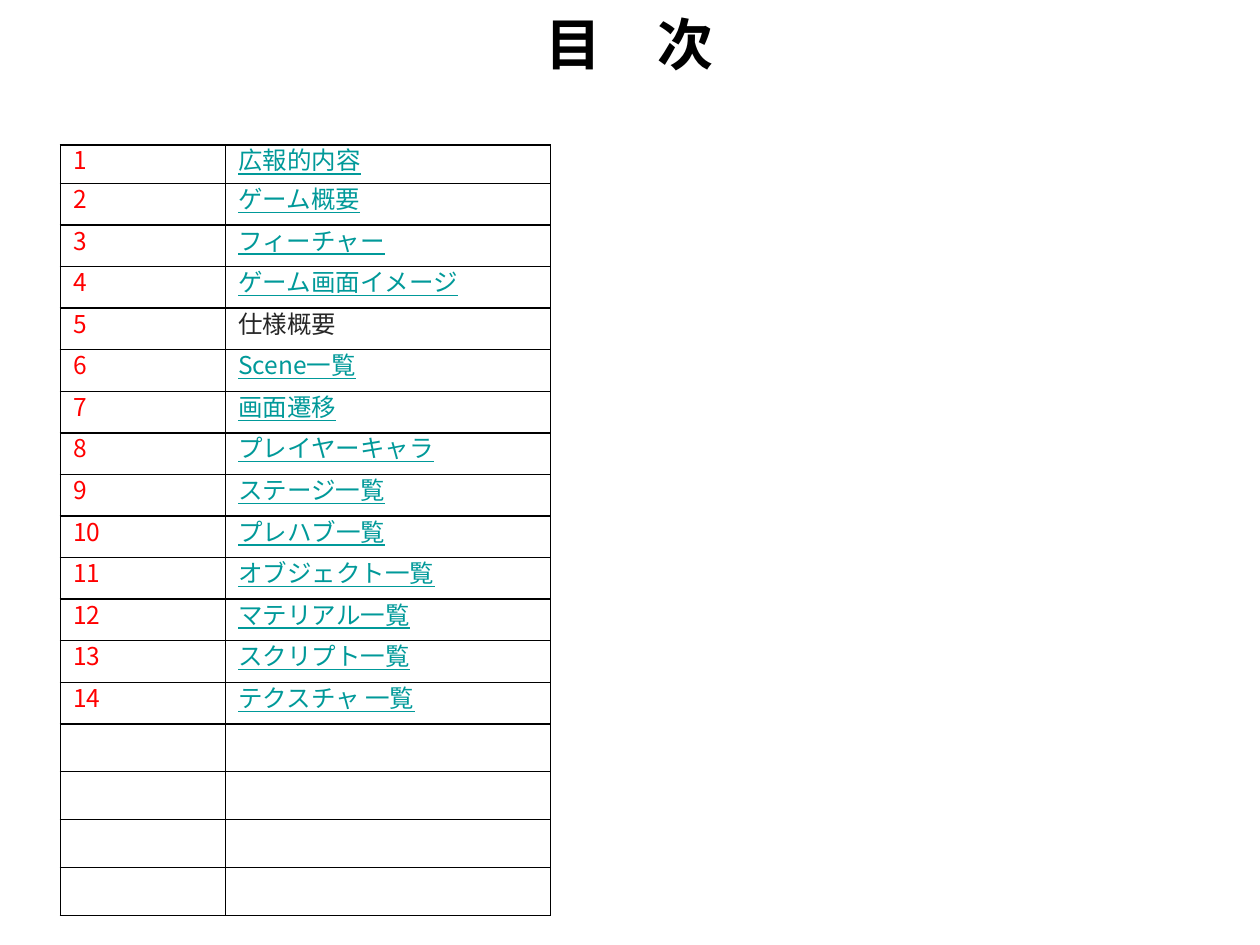
from lxml import etree
from pptx import Presentation
from pptx.dml.color import RGBColor
from pptx.enum.text import MSO_ANCHOR, PP_ALIGN
from pptx.oxml.ns import qn
from pptx.util import Inches, Pt

CENTER, LEFT = PP_ALIGN.CENTER, PP_ALIGN.LEFT
MIDDLE, TOP = MSO_ANCHOR.MIDDLE, MSO_ANCHOR.TOP
FONT = "Noto Sans CJK JP"
BLACK, WHITE, RED, TEAL, GRAY = "000000", "FFFFFF", "FF0000", "009999", "262626"
TITLE_ONLY = 5
PLAIN_ENTRY = "仕様概要"
ENTRIES = [
    "広報的内容", "ゲーム概要", "フィーチャー", "ゲーム画面イメージ", PLAIN_ENTRY,
    "Scene一覧", "画面遷移", "プレイヤーキャラ", "ステージ一覧", "プレハブ一覧",
    "オブジェクト一覧", "マテリアル一覧", "スクリプト一覧", "テクスチャ 一覧",
]
SPARE_ROWS = 4


def color(value):
    """Turn a hex string into a colour."""
    return RGBColor.from_string(value)


def write(frame, text, *, size=14, fill=BLACK, bold=False, underline=False,
          align=LEFT, spacing=None):
    """Put one formatted paragraph into a text frame."""
    paragraph = frame.paragraphs[0]
    paragraph.alignment = align
    if spacing:
        paragraph.line_spacing = Pt(spacing)
    run = paragraph.add_run()
    run.text = text
    font = run.font
    font.size, font.bold, font.underline = Pt(size), bold, underline
    font.color.rgb = color(fill)
    font.name = FONT
    etree.SubElement(font._element, qn("a:ea"), typeface=FONT)


class SlideBuilder:
    """Hold the table style and the current slide."""

    border_color = BLACK
    border_width = Pt(1)
    line_spacing = 14.8

    def __init__(self, presentation):
        """Add a title-only slide."""
        self.slide = presentation.slides.add_slide(presentation.slide_layouts[TITLE_ONLY])

    def title(self, text, left, top, width, height):
        """Place and fill the title."""
        shape = self.slide.shapes.title
        shape.left, shape.top = Inches(left), Inches(top)
        shape.width, shape.height = Inches(width), Inches(height)
        shape.text_frame.vertical_anchor = MIDDLE
        write(shape.text_frame, text, size=32, bold=True, align=CENTER)

    def borders(self, cell):
        """Draw the four borders of a cell."""
        properties = cell._tc.get_or_add_tcPr()
        for index, side in enumerate(("lnL", "lnR", "lnT", "lnB")):
            line = etree.Element(qn(f"a:{side}"), w=str(self.border_width))
            solid = etree.SubElement(line, qn("a:solidFill"))
            etree.SubElement(solid, qn("a:srgbClr"), val=self.border_color)
            properties.insert(index, line)

    def cell(self, cell, text, **style):
        """Fill and format one table cell."""
        cell.fill.solid()
        cell.fill.fore_color.rgb = color(WHITE)
        cell.vertical_anchor = TOP
        cell.margin_top = cell.margin_bottom = Inches(0.05 if text else 0.03)
        self.borders(cell)
        if text:
            write(cell.text_frame, text, spacing=self.line_spacing, **style)

    def contents_table(self, entries, left, top, widths, heights):
        """Add the numbered contents table with spare rows at the end."""
        table = self.slide.shapes.add_table(
            len(heights), len(widths), Inches(left), Inches(top),
            Inches(sum(widths)), Inches(sum(heights))).table
        table.first_row = table.horz_banding = False
        for column, width in zip(table.columns, widths):
            column.width = Inches(width)
        for index, height in enumerate(heights):
            table.rows[index].height = Inches(height)
            filled = index < len(entries)
            entry = entries[index] if filled else ""
            linked = entry != PLAIN_ENTRY
            self.cell(table.cell(index, 0), str(index + 1) if filled else "", fill=RED)
            self.cell(table.cell(index, 1), entry,
                      fill=TEAL if linked else GRAY, underline=linked)


def main():
    """Build and save the contents slide."""
    presentation = Presentation()
    presentation.slide_width, presentation.slide_height = Inches(10), Inches(7.5)
    builder = SlideBuilder(presentation)
    builder.title("目\u3000次".replace("\u3000", "　"), 0, 0, 10, 0.68)
    heights = [0.3] + [0.33] * (len(ENTRIES) - 1) + [0.38] * SPARE_ROWS
    builder.contents_table(ENTRIES, 0.48, 1.15, (1.31, 2.58), heights)
    presentation.save("out.pptx")


if __name__ == "__main__":
    main()
